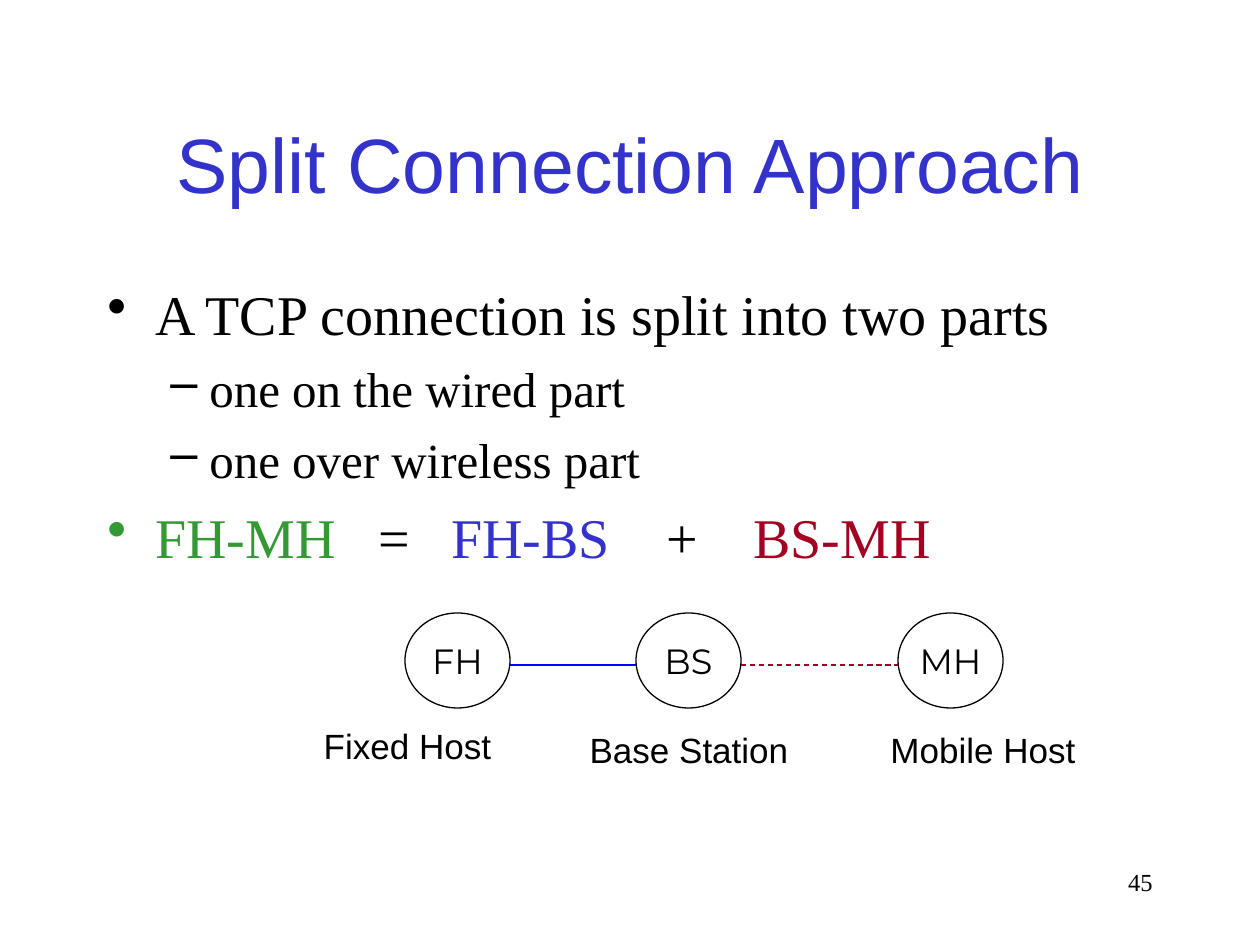
from dataclasses import dataclass

from lxml.etree import SubElement
from pptx import Presentation
from pptx.dml.color import RGBColor as RGB
from pptx.enum.dml import MSO_LINE
from pptx.enum.shapes import MSO_CONNECTOR, MSO_SHAPE
from pptx.enum.text import MSO_ANCHOR, MSO_AUTO_SIZE, PP_ALIGN
from pptx.oxml.ns import qn
from pptx.util import Emu, Pt


@dataclass(frozen=True)
class Theme:
    black: RGB = RGB(0x00, 0x00, 0x00)
    blue: RGB = RGB(0x33, 0x33, 0xCC)
    wired: RGB = RGB(0x00, 0x00, 0xFF)
    green: RGB = RGB(0x33, 0x99, 0x33)
    red: RGB = RGB(0xA5, 0x00, 0x21)
    sans: str = "Arial"
    serif: str = "Times New Roman"
    node_font: str = "Montserrat"
    title_size: int = 44
    body_size: int = 32
    sub_size: int = 28
    label_size: int = 20
    number_size: int = 14


theme = Theme()


def px(*lengths):
    """Turn pixels (126 to the inch) into a list of EMU lengths."""
    return [Emu(round(length * 914400 / 126)) for length in lengths]


def style(paragraph, name, size, color, align):
    paragraph.alignment = align
    paragraph.font.name = name
    paragraph.font.size = Pt(size)
    paragraph.font.color.rgb = color


presentation = Presentation()
presentation.slide_width, presentation.slide_height = px(1260, 945)
slide = presentation.slides.add_slide(presentation.slide_layouts[5])
shapes = slide.shapes

# Title
title = shapes.title
title.left, title.top, title.width, title.height = px(95, 84, 1071, 158)
title.text_frame.text = "Split Connection Approach"
title.text_frame.vertical_anchor = MSO_ANCHOR.MIDDLE
style(title.text_frame.paragraphs[0], theme.sans, theme.title_size, theme.blue, PP_ALIGN.CENTER)

# Bulleted text: level, bullet colour, coloured runs
body_lines = [
    (0, theme.black, [("A TCP connection is split into two parts", theme.black)]),
    (1, theme.black, [("one on the wired part", theme.black)]),
    (1, theme.black, [("one over wireless part", theme.black)]),
    (0, theme.green, [("FH-MH", theme.green), ("\t=\t", theme.black), ("FH-BS", theme.blue),
                      ("\t+\t", theme.black), ("BS-MH", theme.red)]),
]
# Bullet, text start, hanging indent, type size, space before
levels = [("•", 48, 48, theme.body_size, 8), ("–", 102, 39, theme.sub_size, 7)]
equation_tabs = px(271, 344, 559, 646)

body = shapes.add_textbox(*px(95, 273, 1120, 311)).text_frame
body.word_wrap = True
for index, (level, bullet_color, runs) in enumerate(body_lines):
    bullet, margin, hanging, size, space = levels[level]
    paragraph = body.paragraphs[0] if index == 0 else body.add_paragraph()
    paragraph.level = level
    if index:
        paragraph.space_before = Pt(space)
    properties = paragraph._p.get_or_add_pPr()
    margin, hanging = px(margin, hanging)
    properties.set("marL", str(margin))
    properties.set("indent", str(-hanging))
    color_element = SubElement(properties, qn("a:buClr"))
    SubElement(color_element, qn("a:srgbClr"), val=str(bullet_color))
    SubElement(properties, qn("a:buChar"), char=bullet)
    if len(runs) > 1:
        tab_list = SubElement(properties, qn("a:tabLst"))
        for position in equation_tabs:
            SubElement(tab_list, qn("a:tab"), pos=str(position), algn="l")
    paragraph.font.name = theme.serif
    paragraph.font.size = Pt(size)
    for text, color in runs:
        run = paragraph.add_run()
        run.text = text
        run.font.color.rgb = color

# Network nodes
node_width, node_height, node_top = 105, 95, 613
node_lefts = {"FH": 405, "BS": 636, "MH": 898}
for name, left in node_lefts.items():
    node = shapes.add_shape(MSO_SHAPE.OVAL, *px(left, node_top, node_width, node_height))
    node.shadow.inherit = False
    node.fill.background()
    node.line.color.rgb = theme.black
    node.line.width = Pt(0.75)
    node.text_frame.text = name
    node.text_frame.word_wrap = False
    node.text_frame.vertical_anchor = MSO_ANCHOR.MIDDLE
    style(node.text_frame.paragraphs[0], theme.node_font, theme.label_size, theme.black,
          PP_ALIGN.CENTER)

# Links run slightly below the node centres
link_y = 665
for start, end, color, dash in [("FH", "BS", theme.wired, None),
                                ("BS", "MH", theme.red, MSO_LINE.DASH)]:
    link = shapes.add_connector(MSO_CONNECTOR.STRAIGHT, *px(
        node_lefts[start] + node_width, link_y, node_lefts[end], link_y))
    link.line.color.rgb = color
    link.line.width = Pt(0.75)
    link.line.dash_style = dash
    SubElement(link._element.spPr, qn("a:effectLst"))

# Node captions
for text, left, top, width in [("Fixed Host", 311, 718, 193), ("Base Station", 577, 722, 224),
                               ("Mobile Host", 878, 722, 210)]:
    caption = shapes.add_textbox(*px(left, top, width, 55)).text_frame
    caption.text = text
    caption.word_wrap = False
    caption.auto_size = MSO_AUTO_SIZE.SHAPE_TO_FIT_TEXT
    caption.vertical_anchor = MSO_ANCHOR.MIDDLE
    style(caption.paragraphs[0], theme.sans, theme.label_size, theme.black, PP_ALIGN.CENTER)

# Page number
number = shapes.add_textbox(*px(903, 861, 262, 63)).text_frame
number.word_wrap = True
number.text = "45"
style(number.paragraphs[0], theme.serif, theme.number_size, theme.black, PP_ALIGN.RIGHT)

presentation.save("out.pptx")
